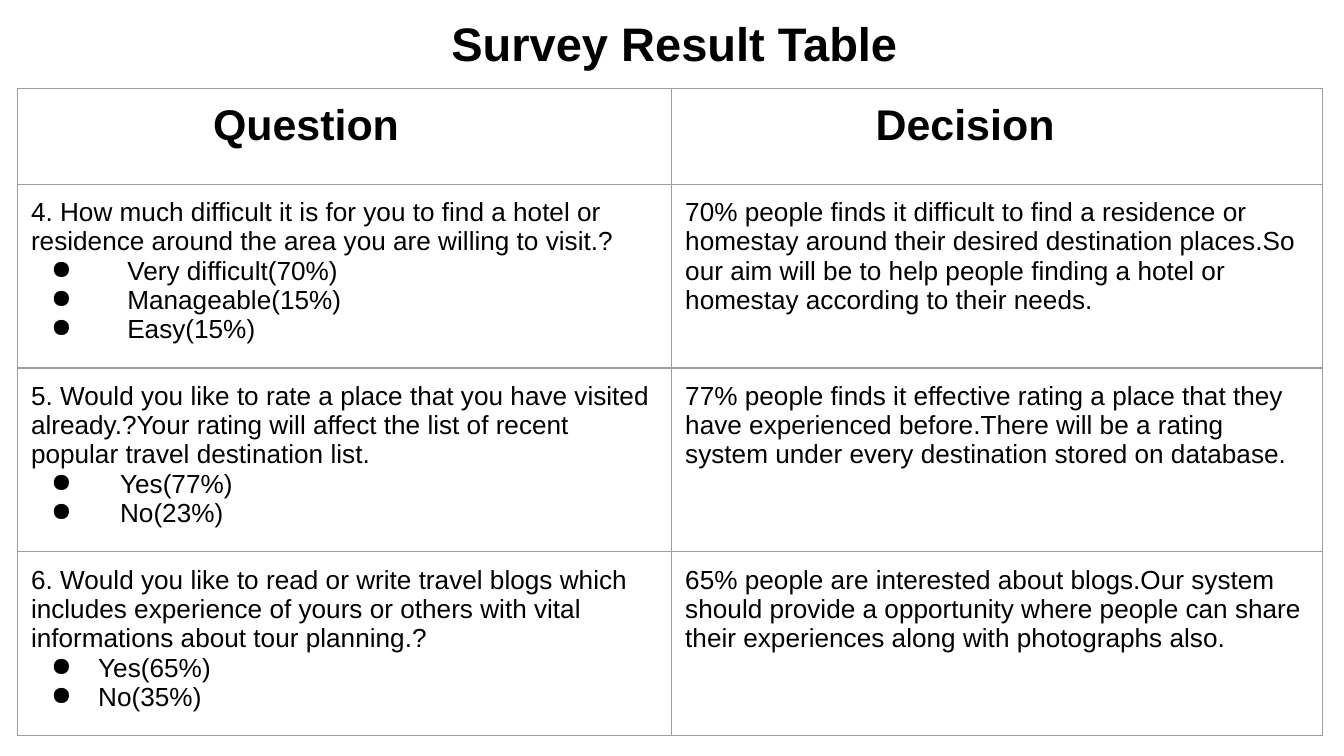
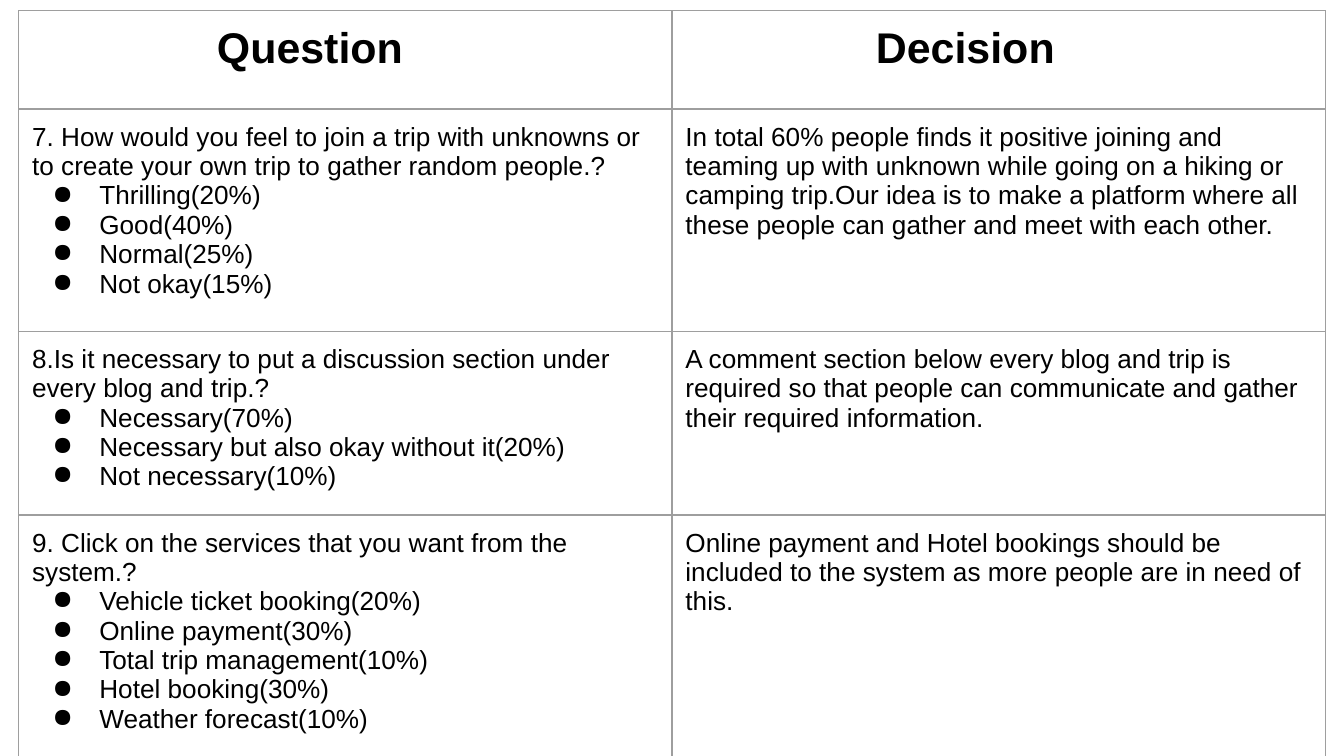
from lxml import etree
from pptx import Presentation
from pptx.dml.color import RGBColor
from pptx.enum.text import MSO_ANCHOR
from pptx.oxml.ns import qn
from pptx.util import Pt

BOTTOM = MSO_ANCHOR.BOTTOM
COLORS = {"text": "000000", "border": "9E9E9E"}
FONT = "Arial"
INSET = 7.2
BODY_SIZE, HEADER_SIZE, TITLE_SIZE = 14, 23, 25.2
BULLET_LEFT, BULLET_TEXT = 10.8, 36

# Each row: question, extra gap after its bullets, answers, decision
FIRST_ROWS = [
    ("4. How much difficult it is for you to find a hotel or residence around "
     "the area you are willing to visit.?", 15.6,
     ["Very difficult(70%)", "Manageable(15%)", "Easy(15%)"],
     "70% people finds it difficult to find a residence or homestay around "
     "their desired destination places.So our aim will be to help people "
     "finding a hotel or homestay according to their needs."),
    ("5. Would you like to rate a place that you have visited already.?Your "
     "rating will affect the list of recent popular travel destination list.",
     11.7, ["Yes(77%)", "No(23%)"],
     "77% people finds it effective rating a place that they have experienced "
     "before.There will be a rating system under every destination stored on "
     "database."),
    ("6. Would you like to read or write travel blogs which includes experience "
     "of yours or others with vital informations about tour planning.?", 0,
     ["Yes(65%)", "No(35%)"],
     "65% people are interested about blogs.Our system should provide a "
     "opportunity where people can share their experiences along with "
     "photographs also."),
]
SECOND_ROWS = [
    ("7. How would you feel to join a trip with unknowns or to create your own "
     "trip to gather random people.?", 0,
     ["Thrilling(20%)", "Good(40%)", "Normal(25%)", "Not okay(15%)"],
     "In total 60% people finds it positive joining and teaming up with unknown "
     "while going on a hiking or camping trip.Our idea is to make a platform "
     "where all these people can gather and meet with each other."),
    ("8.Is it necessary to put a discussion section under every blog and trip.?",
     0, ["Necessary(70%)", "Necessary but also okay without it(20%)",
         "Not necessary(10%)"],
     "A comment section below every blog and trip is required so that people "
     "can communicate and gather their required information."),
    ("9. Click on the services that you want from the system.?", 0,
     ["Vehicle ticket booking(20%)", "Online payment(30%)",
      "Total trip management(10%)", "Hotel booking(30%)",
      "Weather forecast(10%)"],
     "Online payment and Hotel bookings should be included to the system as "
     "more people are in need of this."),
]


def write(para, text, size, bold=False, left=0, bullet_left=None):
    """Fill a paragraph; bullet_left is where its bullet stands, if any."""
    para.text = text
    para.font.name = FONT
    para.font.size = Pt(size)
    para.font.bold = bold
    para.font.color.rgb = RGBColor.from_string(COLORS["text"])
    props = para._p.get_or_add_pPr()
    first = 0 if bullet_left is None else bullet_left - left
    props.set("marL", str(Pt(left)))
    props.set("indent", str(Pt(first)))
    if bullet_left is not None:
        bullet = etree.Element(qn("a:buChar"), char="●")
        props.insert(0, bullet)


def set_insets(holder):
    holder.margin_left = holder.margin_right = Pt(INSET)
    holder.margin_top = holder.margin_bottom = Pt(INSET)


def style_cell(cell):
    set_insets(cell)
    props = cell._tc.get_or_add_tcPr()
    for side in ("lnL", "lnR", "lnT", "lnB"):
        line = etree.SubElement(props, qn(f"a:{side}"), w=str(Pt(0.75)))
        fill = etree.SubElement(line, qn("a:solidFill"))
        etree.SubElement(fill, qn("a:srgbClr"), val=COLORS["border"])
    cell.fill.background()


def add_title(page, text, box, indent):
    frame = page.shapes.add_textbox(*map(Pt, box)).text_frame
    frame.word_wrap = True
    frame.vertical_anchor = BOTTOM
    set_insets(frame)
    write(frame.paragraphs[0], text, TITLE_SIZE, True, indent)


def fill_question(frame, question, gap, answers):
    write(frame.paragraphs[0], question, BODY_SIZE)
    for answer in answers:
        write(frame.add_paragraph(), answer, BODY_SIZE,
              left=BULLET_TEXT + gap, bullet_left=BULLET_LEFT)


def add_survey_table(page, origin, widths, heights, header_indents, rows):
    table = page.shapes.add_table(
        len(heights), len(widths), *map(Pt, origin),
        Pt(sum(widths)), Pt(sum(heights))).table
    table.first_row = table.horz_banding = False
    for column, width in zip(table.columns, widths):
        column.width = Pt(width)
    for row, height in zip(table.rows, heights):
        row.height = Pt(height)
    for cell in table.iter_cells():
        style_cell(cell)

    # Header row
    for index, (label, indent) in enumerate(
            zip(("Question", "Decision"), header_indents)):
        para = table.cell(0, index).text_frame.paragraphs[0]
        write(para, label, HEADER_SIZE, True, indent)

    # Survey rows
    for index, (question, gap, answers, decision) in enumerate(rows, 1):
        fill_question(table.cell(index, 0).text_frame, question, gap, answers)
        write(table.cell(index, 1).text_frame.paragraphs[0], decision, BODY_SIZE)


def main():
    deck = Presentation()
    deck.slide_width, deck.slide_height = Pt(720), Pt(405)
    blank = deck.slide_layouts[6]

    page = deck.slides.add_slide(blank)
    add_title(page, "Survey Result Table", (18.7, 0, 671, 45.4), 216)
    add_survey_table(page, (9.4, 47.4), (350.5, 348.5),
                     (51.3, 98.5, 98.5, 98.5), (97.5, 102), FIRST_ROWS)

    page = deck.slides.add_slide(blank)
    add_survey_table(page, (10, 5.7), (350, 350),
                     (52.7, 119, 97.2, 130.2), (99, 102), SECOND_ROWS)

    deck.save("out.pptx")


if __name__ == "__main__":
    main()
